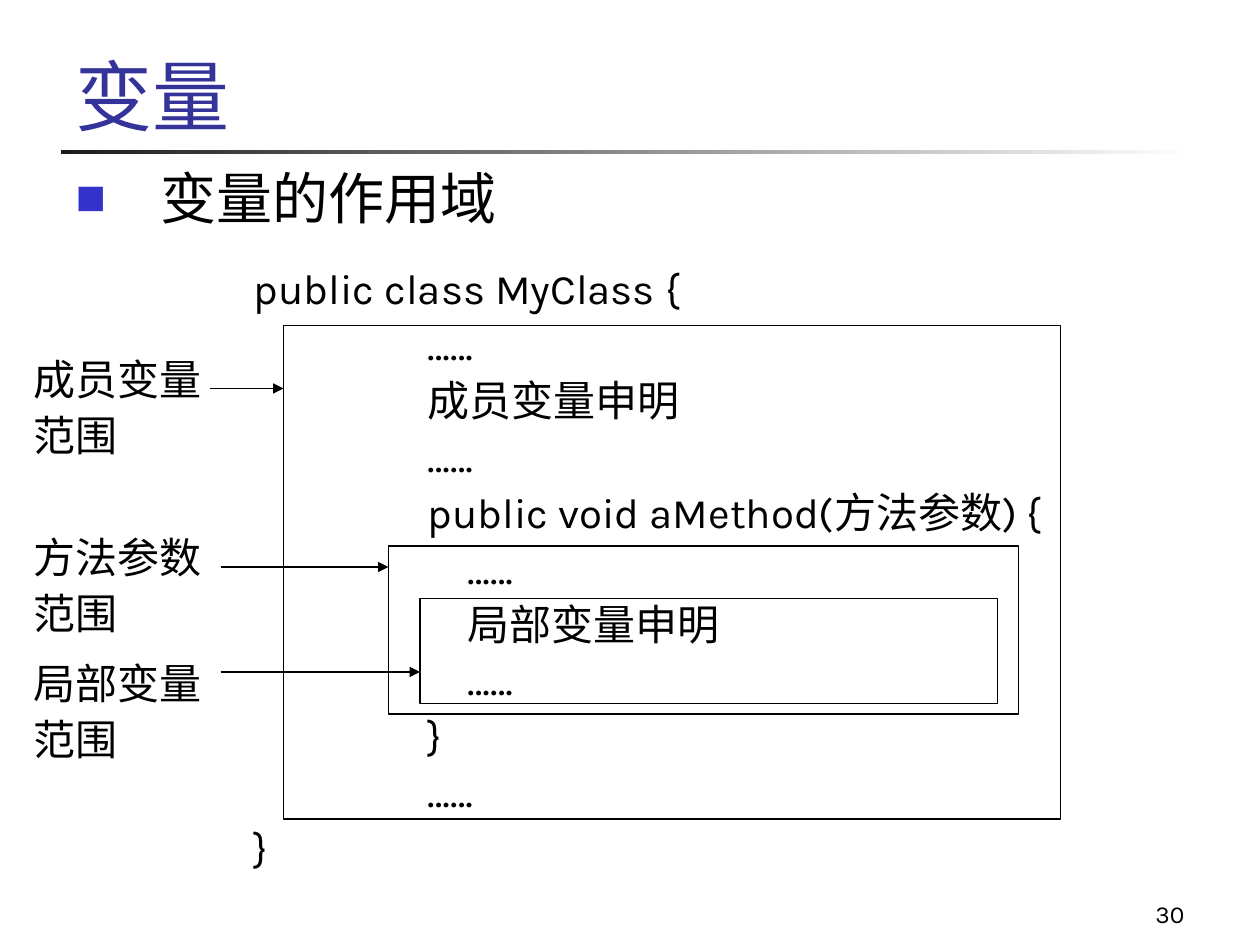
from dataclasses import dataclass

from lxml import etree
from pptx import Presentation
from pptx import util as u
from pptx.dml.color import RGBColor
from pptx.enum import shapes, text
from pptx.oxml.ns import qn


@dataclass(frozen=True)
class Theme:
    ink: str = "000000"
    title: str = "333399"
    bullet: str = "3333CC"
    rule: tuple = ("1C1C1C", "FFFFFF")
    latin: str = "Karla"
    cjk: str = "Noto Sans CJK JP"
    title_size: int = 44
    body_size: int = 32
    code_size: int = 24
    number_size: int = 14
    line: float = 0.75


T = Theme()
CELL = u.Inches(1) / 12  # the slide is a grid of 120 columns by 90 rows

CODE = [
    "public class MyClass {",
    "\t\t……",
    "\t\t成员变量申明",
    "\t\t……",
    "\t\tpublic void aMethod(方法参数) {",
    "\t\t    ……",
    "\t\t    局部变量申明",
    "\t\t    ……",
    "\t\t}",
    "\t\t……",
    "}",
]

# scope box (column, row, columns, rows), label, label row and rows, arrow start and row
SCOPES = [
    ((27, 31, 74, 47), "成员变量", (33, 12), (20, 37)),
    ((37, 52, 60, 16), "方法参数", (51, 10), (21, 54)),
    ((40, 57, 55, 10), "局部变量", (63, 10), (21, 64)),
]


def grid(*cells):
    return [u.Emu(round(c * CELL)) for c in cells]


def rgb(value):
    return RGBColor.from_string(value)


def child(parent, tag, **attrs):
    return etree.SubElement(parent, qn(tag), {k: str(v) for k, v in attrs.items()})


def add_bullet(p, char, color, percent):
    pPr = p._p.get_or_add_pPr()
    child(child(pPr, "a:buClr"), "a:srgbClr", val=color)
    child(pPr, "a:buSzPct", val=percent * 1000)
    child(pPr, "a:buChar", char=char)


def add_tabs(p, count):
    """Put left tab stops at every whole inch, from zero."""
    pPr = p._p.get_or_add_pPr()
    pPr.set("defTabSz", str(u.Inches(1)))
    tabs = child(pPr, "a:tabLst")
    for i in range(count):
        child(tabs, "a:tab", pos=u.Inches(i), algn="l")


def write(sp, lines, size, color=T.ink, font=T.latin, align=text.PP_ALIGN.LEFT,
          anchor=text.MSO_ANCHOR.TOP, wrap=True, spacing=None, before=0,
          hanging=0, bullet=None, tabs=0):
    tf = sp.text_frame
    tf.auto_size = text.MSO_AUTO_SIZE.NONE
    tf.word_wrap = wrap
    tf.vertical_anchor = anchor
    for i, line in enumerate(lines):
        p = tf.add_paragraph() if i else tf.paragraphs[0]
        if hanging:
            pPr = p._p.get_or_add_pPr()
            pPr.set("marL", str(u.Inches(hanging)))
            pPr.set("indent", str(-u.Inches(hanging)))
        if bullet:
            add_bullet(p, bullet, T.bullet, 90)
        if tabs:
            add_tabs(p, tabs)
        p.alignment = align
        p.line_spacing = spacing
        p.space_before = u.Pt(before if i else 0)
        r = p.add_run()
        r.text = line
        r.font.size = u.Pt(size)
        r.font.name = font
        r.font.color.rgb = rgb(color)
        child(r._r.get_or_add_rPr(), "a:ea", typeface=font)


def fill_placeholder(sp, cells, lines, size, **fmt):
    sp.left, sp.top, sp.width, sp.height = grid(*cells)
    write(sp, lines, size, **fmt)


def add_text(s, cells, lines, size, **fmt):
    write(s.shapes.add_textbox(*grid(*cells)), lines, size, **fmt)


def add_rect(s, cells):
    sp = s.shapes.add_shape(shapes.MSO_SHAPE.RECTANGLE, *grid(*cells))
    sp.shadow.inherit = False
    return sp


def add_rule(s, cells):
    sp = add_rect(s, cells)
    sp.line.fill.background()
    sp.fill.gradient()
    sp.fill.gradient_angle = 0
    for stop, color in zip(sp.fill.gradient_stops, T.rule):
        stop.color.rgb = rgb(color)


def add_scope_box(s, cells):
    sp = add_rect(s, cells)
    sp.fill.background()
    sp.line.color.rgb = rgb(T.ink)
    sp.line.width = u.Pt(T.line)


def add_arrow(s, start, end, row):
    cx = s.shapes.add_connector(shapes.MSO_CONNECTOR.STRAIGHT,
                                *grid(start, row, end, row))
    cx.line.color.rgb = rgb(T.ink)
    cx.line.width = u.Pt(T.line)
    child(cx.line._get_or_add_ln(), "a:tailEnd", type="triangle")
    child(cx._element.spPr, "a:effectLst")


def main():
    prs = Presentation()
    prs.slide_width, prs.slide_height = grid(120, 90)
    s = prs.slides.add_slide(prs.slide_layouts[1])

    add_rule(s, (5.8, 14.25, 108, 0.4))
    fill_placeholder(s.shapes.title, (6, 3, 102.25, 11), ["变量"], T.title_size,
                     color=T.title, font=T.cjk, anchor=text.MSO_ANCHOR.BOTTOM)
    fill_placeholder(s.placeholders[1], (6, 15, 103, 9), ["变量的作用域"],
                     T.body_size, font=T.cjk, hanging=0.67, bullet="■")

    add_text(s, (23, 25, 78, 59), CODE, T.code_size,
             spacing=0.9, before=6, hanging=0.38, tabs=8)
    for box, name, (row, rows), (start, arrow_row) in SCOPES:
        add_scope_box(s, box)
        add_text(s, (2, row, 19, rows), [name, "范围"], T.code_size, wrap=False,
                 anchor=text.MSO_ANCHOR.MIDDLE, spacing=0.9, before=6)
        add_arrow(s, start, box[0], arrow_row)

    add_text(s, (89, 83, 25, 6), ["30"], T.number_size,
             align=text.PP_ALIGN.RIGHT, anchor=text.MSO_ANCHOR.BOTTOM)
    prs.save("out.pptx")


if __name__ == "__main__":
    main()
